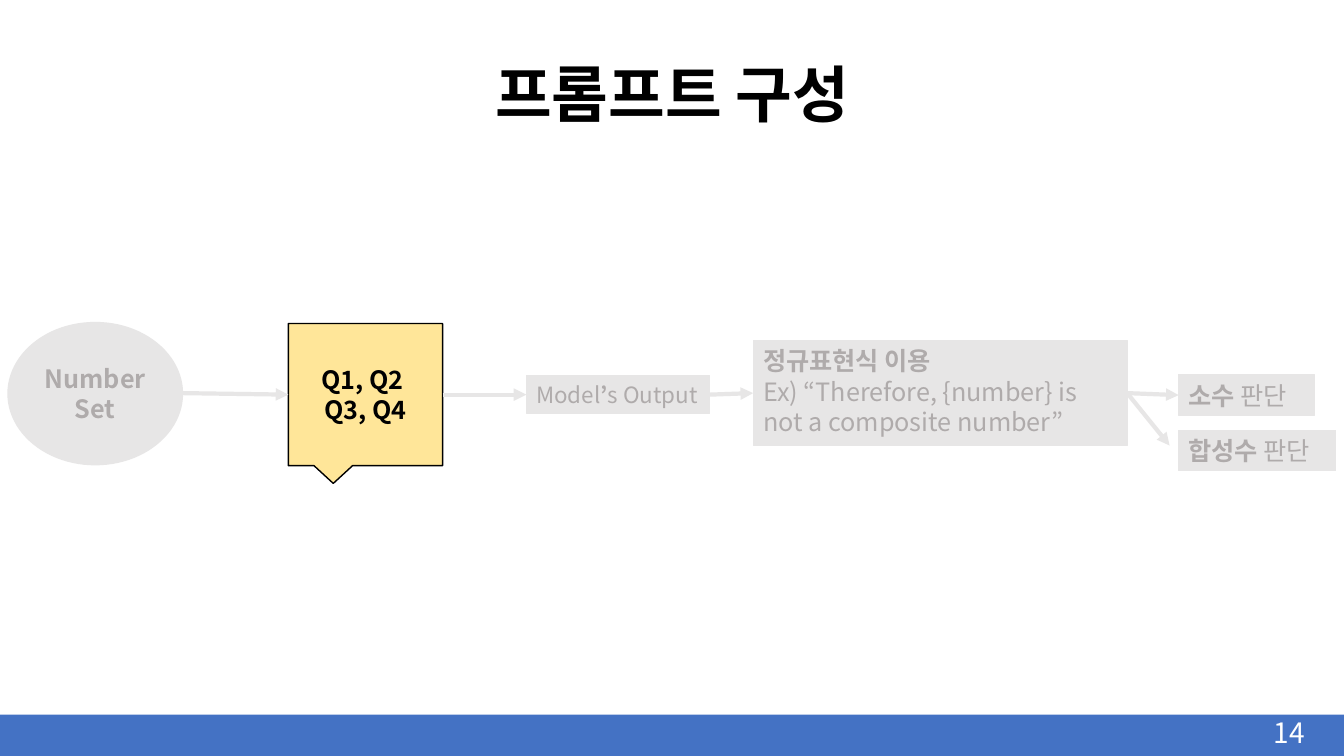
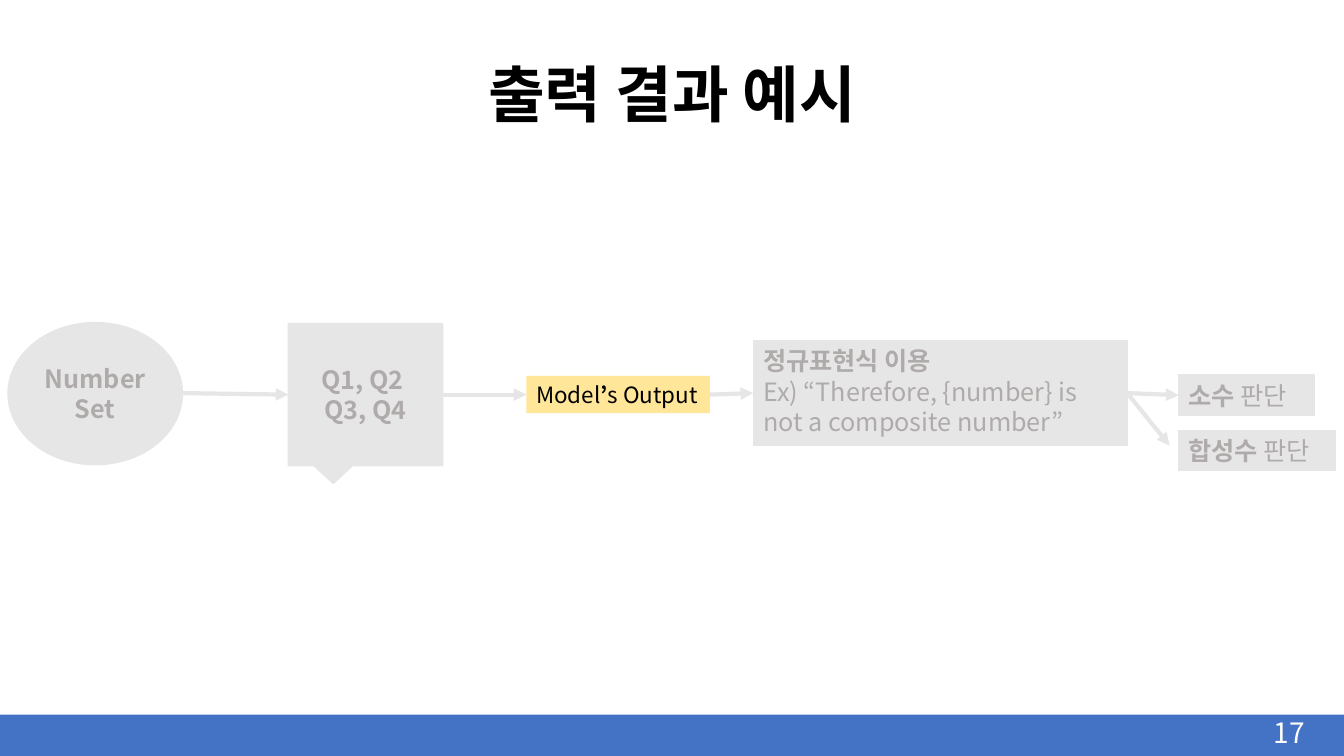
"""Build two slides that highlight successive steps of a prompt pipeline."""
import pptx
import pptx.dml.color
import pptx.enum.shapes
import pptx.enum.text
import pptx.oxml
import pptx.oxml.ns
import pptx.util

Inches = pptx.util.Inches
Pt = pptx.util.Pt
RGBColor = pptx.dml.color.RGBColor
SHAPE = pptx.enum.shapes.MSO_SHAPE
ALIGN = pptx.enum.text.PP_ALIGN
ANCHOR = pptx.enum.text.MSO_ANCHOR
qn = pptx.oxml.ns.qn

FONT = "Noto Sans CJK KR"
BLACK = RGBColor(0x00, 0x00, 0x00)
WHITE = RGBColor(0xFF, 0xFF, 0xFF)
BLUE = RGBColor(0x44, 0x72, 0xC4)
YELLOW = RGBColor(0xFF, 0xE6, 0x99)
MUTED_FILL = RGBColor(0xE7, 0xE6, 0xE6)
MUTED_TEXT = RGBColor(0xAF, 0xAB, 0xAB)
LEFT, RIGHT = 1, 3

STEPS = {
    "numbers": dict(
        box=(0.08, 3.2, 1.73, 1.41), kind=SHAPE.OVAL, weight=1,
        paragraphs=[[("Number", True)], [("Set", True)]], align=ALIGN.CENTER, anchor=ANCHOR.MIDDLE),
    "questions": dict(
        box=(2.86, 3.21, 1.53, 1.41), kind=SHAPE.RECTANGULAR_CALLOUT, weight=1, highlight_line=BLACK,
        paragraphs=[[("Q1, Q2 ", True)], [("Q3, Q4", True)]], align=ALIGN.CENTER, anchor=ANCHOR.MIDDLE),
    "output": dict(
        box=(5.22, 3.73, 1.82, 0.37), size=16,
        paragraphs=[[("Model", False), ("’", True), ("s Output", False)]]),
    "regex": dict(
        box=(7.47, 3.38, 3.71, 1.04),
        paragraphs=[[("정규표현식 이용", True)],
                    [("Ex) “Therefore, {number} is not a composite number”", False)]]),
    "prime": dict(
        box=(11.69, 3.72, 1.35, 0.4), paragraphs=[[("소수", True), (" 판단", False)]]),
    "composite": dict(
        box=(11.69, 4.27, 1.56, 0.4), paragraphs=[[("합성수", True), (" 판단", False)]]),
}
SLIDES = [("프롬프트 구성", 14, "questions"), ("출력 결과 예시", 17, "output")]


def write_text(shape, paragraphs, *, size=18, color=BLACK, align=ALIGN.LEFT,
               anchor=ANCHOR.TOP, spacing=None):
    """Fill a shape with paragraphs made of (text, bold) runs."""
    frame = shape.text_frame
    frame.word_wrap = True
    frame.vertical_anchor = anchor
    for index, runs in enumerate(paragraphs):
        paragraph = frame.add_paragraph() if index else frame.paragraphs[0]
        paragraph.alignment = align
        paragraph.line_spacing = spacing
        for text, bold in runs:
            run = paragraph.add_run()
            run.text = text
            run.font.name = FONT
            run.font.size = Pt(size)
            run.font.bold = bold
            run.font.color.rgb = color
            east_asian = pptx.oxml.parse_xml(
                f'<a:ea {pptx.oxml.ns.nsdecls("a")} typeface="{FONT}"/>')
            run.font._element.find(qn("a:latin")).addnext(east_asian)


def add_label(slide, box, text, *, bold=False, **text_format):
    """Add a text box holding one line."""
    label = slide.shapes.add_textbox(*map(Inches, box))
    write_text(label, [[(text, bold)]], **text_format)


def add_block(slide, box, fill, *, kind=SHAPE.RECTANGLE, line=None, weight=0.75):
    """Add a flat filled shape with an optional outline."""
    block = slide.shapes.add_shape(kind, *map(Inches, box))
    block.shadow.inherit = False
    block.fill.solid()
    block.fill.fore_color.rgb = fill
    if line is None:
        block.line.fill.background()
    else:
        block.line.color.rgb = line
        block.line.width = Pt(weight)
    return block


def add_step(slide, highlighted, *, box, paragraphs, kind=SHAPE.RECTANGLE, weight=0.75,
             highlight_line=None, **text_format):
    """Add a pipeline step, muted unless highlighted."""
    fill, line, color = ((YELLOW, highlight_line, BLACK) if highlighted
                         else (MUTED_FILL, MUTED_FILL, MUTED_TEXT))
    step = add_block(slide, box, fill, kind=kind, line=line, weight=weight)
    write_text(step, paragraphs, color=color, **text_format)
    return step


def add_arrow(slide, start, end, *, source=None, target=None):
    """Add an arrow, joined to the source's right and the target's left."""
    arrow = slide.shapes.add_connector(
        pptx.enum.shapes.MSO_CONNECTOR.STRAIGHT, *map(Inches, start + end))
    if source is not None:
        arrow.begin_connect(source, RIGHT)
    if target is not None:
        arrow.end_connect(target, LEFT)
    arrow.line.color.rgb = MUTED_FILL
    arrow.line.width = Pt(3)
    outline = arrow.line._get_or_add_ln()
    outline.append(pptx.oxml.parse_xml(
        f'<a:tailEnd {pptx.oxml.ns.nsdecls("a")} type="triangle"/>'))
    outline.addnext(pptx.oxml.parse_xml(f'<a:effectLst {pptx.oxml.ns.nsdecls("a")}/>'))


def add_pipeline(slide, highlight):
    """Draw all steps and the arrows between them."""
    steps = {name: add_step(slide, name == highlight, **step) for name, step in STEPS.items()}
    add_arrow(slide, (1.81, 3.9), (2.86, 3.92), target=steps["questions"])
    for source, target in [("questions", "output"), ("output", "regex"), ("regex", "prime")]:
        add_arrow(slide, (0, 0), (0, 0), source=steps[source], target=steps[target])
    add_arrow(slide, (11.17, 3.9), (11.6, 4.42), source=steps["regex"])


def add_frame(slide, title, number):
    """Add the title, footer band and slide number."""
    add_label(slide, (1.67, 0.31, 10, 1.04), title, bold=True, size=44,
              align=ALIGN.CENTER, anchor=ANCHOR.BOTTOM, spacing=0.9)
    add_block(slide, (0, 7.09, 13.33, 0.41), BLUE)
    add_label(slide, (12.36, 7.09, 0.68, 0.35), str(number), size=20, color=WHITE,
              align=ALIGN.RIGHT, anchor=ANCHOR.MIDDLE)


def main():
    """Build and save the presentation."""
    deck = pptx.Presentation()
    deck.slide_width = Inches(13.33)
    deck.slide_height = Inches(7.5)
    for title, number, highlight in SLIDES:
        slide = deck.slides.add_slide(deck.slide_layouts[6])
        add_pipeline(slide, highlight)
        add_frame(slide, title, number)
    deck.save("out.pptx")


if __name__ == "__main__":
    main()
